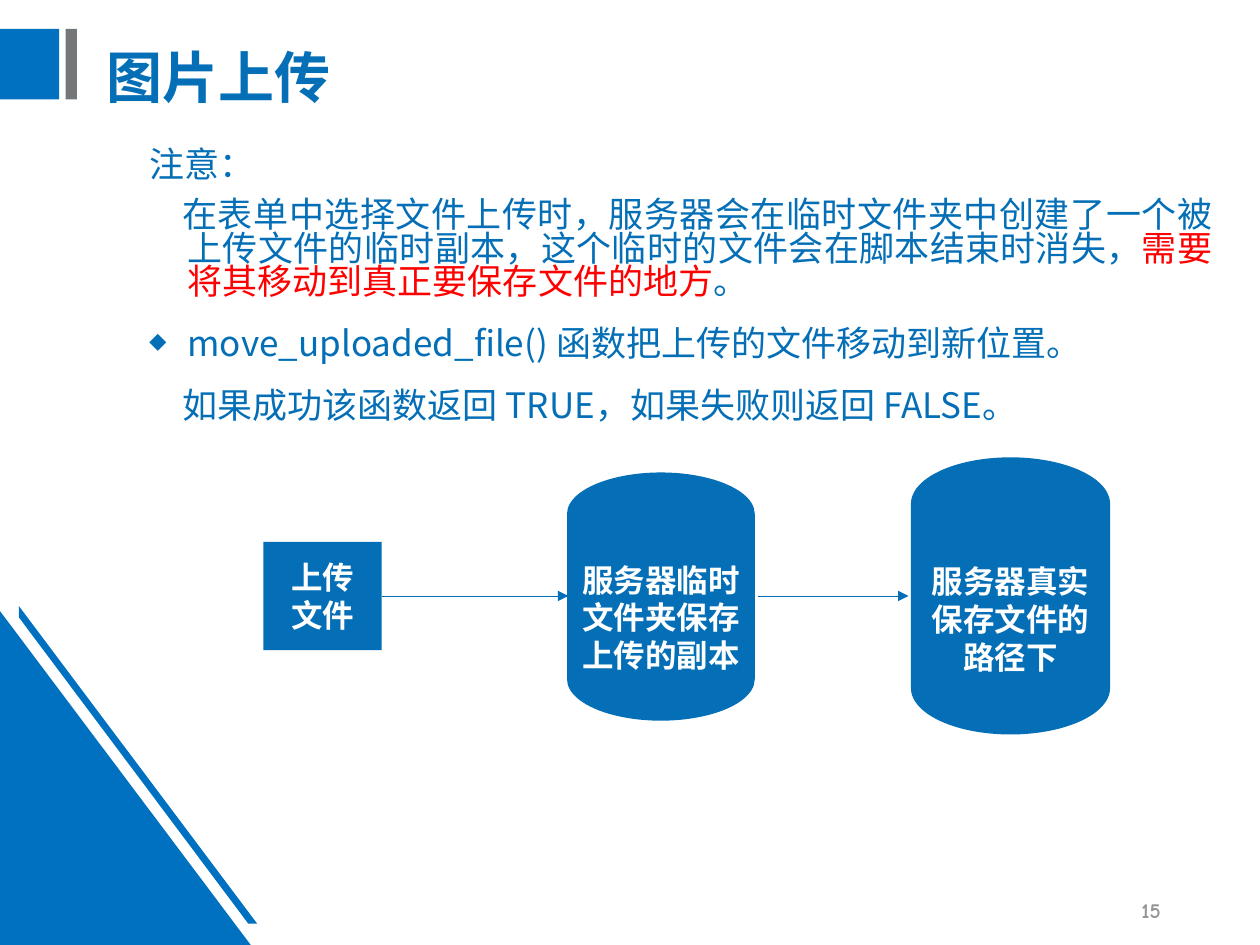
from typing import NamedTuple

from lxml import etree
from pptx import Presentation
from pptx import util as u
from pptx.dml.color import RGBColor
from pptx.enum import shapes, text
from pptx.oxml import ns

BLUE, DEEP, GRAY, RED, WHITE = "0070C0", "046FB6", "73777A", "FF0000", "FFFFFF"
SANS = "Noto Sans CJK SC"
KIND = shapes.MSO_SHAPE
ALIGN = text.PP_ALIGN


class Box(NamedTuple):
    left: float
    top: float
    width: float
    height: float


class Run(NamedTuple):
    words: str
    size: float = 20
    color: str = DEEP
    bold: bool = False
    font: str = SANS


class Para(NamedTuple):
    runs: list[Run]
    align: ALIGN = ALIGN.LEFT
    lines: float = 1.0
    before: float = 0
    margin: float = 0
    indent: float = 0
    mark: str = ""


class Node(NamedTuple):
    kind: KIND
    box: Box
    label: str


def paint(fill, color: str) -> None:
    """Give a fill format one solid colour."""
    fill.solid()
    fill.fore_color.rgb = RGBColor.from_string(color)


def add_tag(parent, tag: str, **attrs: str):
    """Append a DrawingML element and return it."""
    return etree.SubElement(parent, ns.qn(tag), attrs)


def add_run(para, run: Run) -> None:
    """Append one styled run to a paragraph."""
    part = para.add_run()
    part.text = run.words
    part.font.size = u.Pt(run.size)
    part.font.bold = run.bold
    part.font.name = run.font
    paint(part.font.fill, run.color)
    add_tag(part.font._element, "a:ea", typeface=SANS)


def write(frame, paras: list[Para], anchor=text.MSO_ANCHOR.MIDDLE) -> None:
    """Fill a text frame with paragraphs."""
    frame.word_wrap = True
    frame.vertical_anchor = anchor
    for i, item in enumerate(paras):
        para = frame.add_paragraph() if i else frame.paragraphs[0]
        props = para._p.get_or_add_pPr()
        props.set("marL", str(u.Inches(item.margin)))
        props.set("indent", str(u.Inches(item.indent)))
        if item.mark:
            add_tag(add_tag(props, "a:buClr"), "a:srgbClr", val=DEEP)
            add_tag(props, "a:buSzPct", val="50000")
            add_tag(props, "a:buFont", typeface=SANS)
            add_tag(props, "a:buChar", char=item.mark)
        para.alignment = item.align
        para.line_spacing = item.lines
        para.space_before = u.Pt(item.before)
        for run in item.runs:
            add_run(para, run)


def add_text(slide, box: Box, paras: list[Para], anchor=text.MSO_ANCHOR.MIDDLE) -> None:
    """Add a text box."""
    write(slide.shapes.add_textbox(*map(u.Inches, box)).text_frame, paras, anchor)


def finish(shape, color: str) -> None:
    """Make a shape flat, filled and without outline."""
    shape.shadow.inherit = False
    paint(shape.fill, color)
    shape.line.fill.background()


def add_shape(slide, kind: KIND, box: Box, color: str):
    """Add a flat preset shape."""
    shape = slide.shapes.add_shape(kind, *map(u.Inches, box))
    finish(shape, color)
    return shape


def add_node(slide, node: Node) -> None:
    """Add a labelled step of the flow."""
    shape = add_shape(slide, node.kind, node.box, DEEP)
    run = Run(node.label, 18, WHITE, True, "Calibri")
    write(shape.text_frame, [Para([run], ALIGN.CENTER)])


def add_arrow(slide, start: float, end: float, level: float) -> None:
    """Add a thin level arrow."""
    ends = map(u.Inches, (start, level, end, level))
    line = slide.shapes.add_connector(shapes.MSO_CONNECTOR.STRAIGHT, *ends)
    line.line.width = u.Pt(0.5)
    paint(line.line.fill, DEEP)
    add_tag(line.line._get_or_add_ln(), "a:tailEnd", type="triangle")
    add_tag(line._element.spPr, "a:effectLst")


def add_stripe(slide, points: list[tuple[float, float]]) -> None:
    """Add a closed outline through the points."""
    spots = [(u.Inches(x), u.Inches(y)) for x, y in points]
    form = slide.shapes.build_freeform(*spots[0])
    form.add_line_segments(spots[1:], close=True)
    finish(form.convert_to_shape(), BLUE)


def main() -> None:
    """Build the slide and save it."""
    deck = Presentation()
    deck.slide_width, deck.slide_height = u.Inches(10), u.Inches(7.5)
    slide = deck.slides.add_slide(deck.slide_layouts[6])

    add_shape(slide, KIND.RECTANGLE, Box(0, 0.23, 0.47, 0.56), BLUE)
    add_shape(slide, KIND.RECTANGLE, Box(0.52, 0.23, 0.09, 0.56), GRAY)
    add_shape(slide, KIND.RIGHT_TRIANGLE, Box(0, 4.85, 1.99, 2.65), BLUE)
    add_stripe(slide, [(0.15, 4.81), (2.04, 7.33), (1.97, 7.33), (0.15, 4.9)])

    title = Run("图片上传", 32, bold=True)
    add_text(slide, Box(0.75, 0.17, 7.51, 0.93), [Para([title], lines=0.9)])

    story = [
        Run("在表单中选择文件上传时，服务器会在临时文件夹中创建了一个被上传文件的临时副本，"
            "这个临时的文件会在脚本结束时消失，"),
        Run("需要将其移动到真正要保存文件的地方", color=RED),
        Run("。"),
    ]
    move = Run("move_uploaded_file() 函数把上传的文件移动到新位置。")
    result = Run("如果成功该函数返回 TRUE，如果失败则返回 FALSE。")
    side = ALIGN.JUSTIFY
    body = [
        Para([Run("注意：")], side, 0.8, 0, 0.3, -0.3),
        Para(story, side, 0.8, 9, 0.3, -0.04),
        Para([move], side, 1.1, 9, 0.3, -0.3, "◆"),
        Para([result], side, 1.1, 9, 0.3, -0.04),
    ]
    add_text(slide, Box(1.09, 1.15, 8.63, 6.35), body, text.MSO_ANCHOR.TOP)

    page = Run("15", 12, "949596", True, "Comic Neue")
    add_text(slide, Box(7.06, 7.02, 2.25, 0.4), [Para([page], ALIGN.RIGHT)])

    disk = KIND.FLOWCHART_MAGNETIC_DISK
    nodes = [
        Node(KIND.RECTANGLE, Box(2.09, 4.3, 0.94, 0.86), "上传文件"),
        Node(disk, Box(4.5, 3.75, 1.49, 1.97), "服务器临时文件夹保存上传的副本"),
        Node(disk, Box(7.23, 3.63, 1.58, 2.2), "服务器真实保存文件的路径下"),
    ]
    for node in nodes:
        add_node(slide, node)
    for start, end in ((3.03, 4.51), (6.02, 7.21)):
        add_arrow(slide, start, end, 4.73)

    deck.save("out.pptx")


if __name__ == "__main__":
    main()
